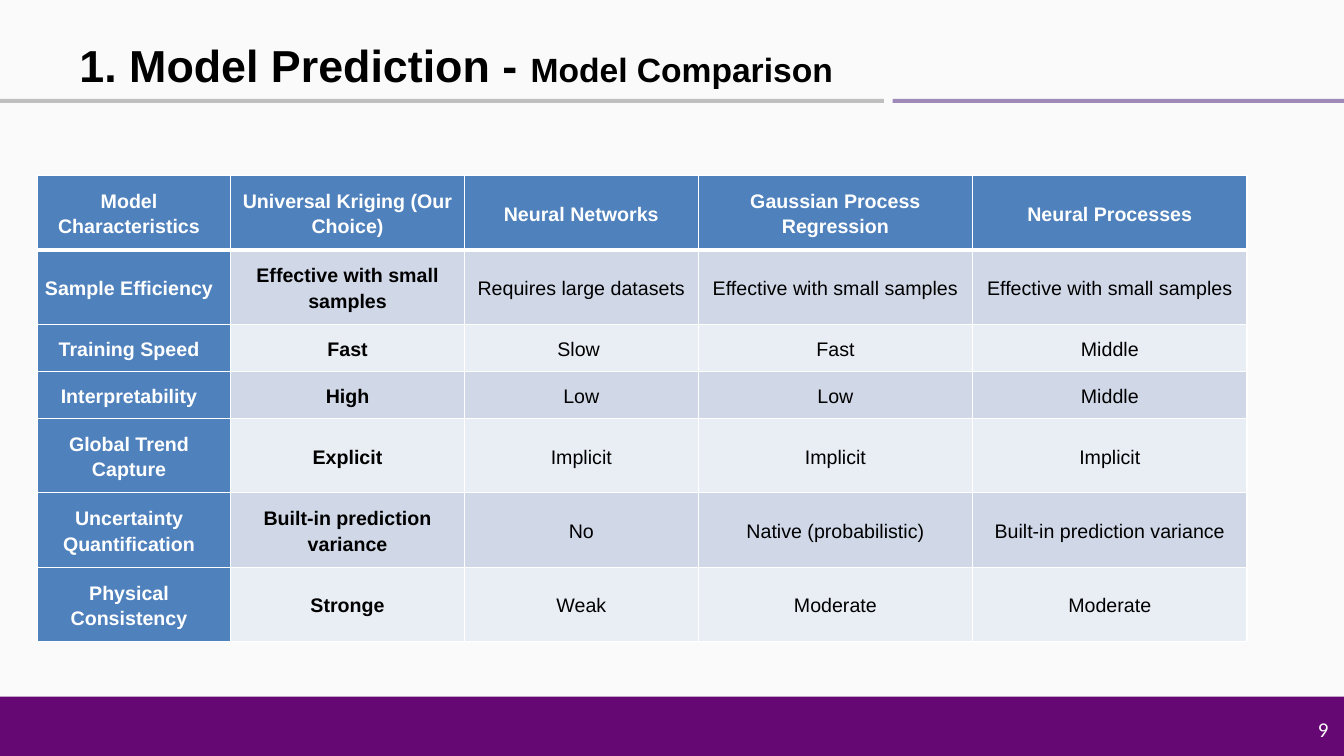
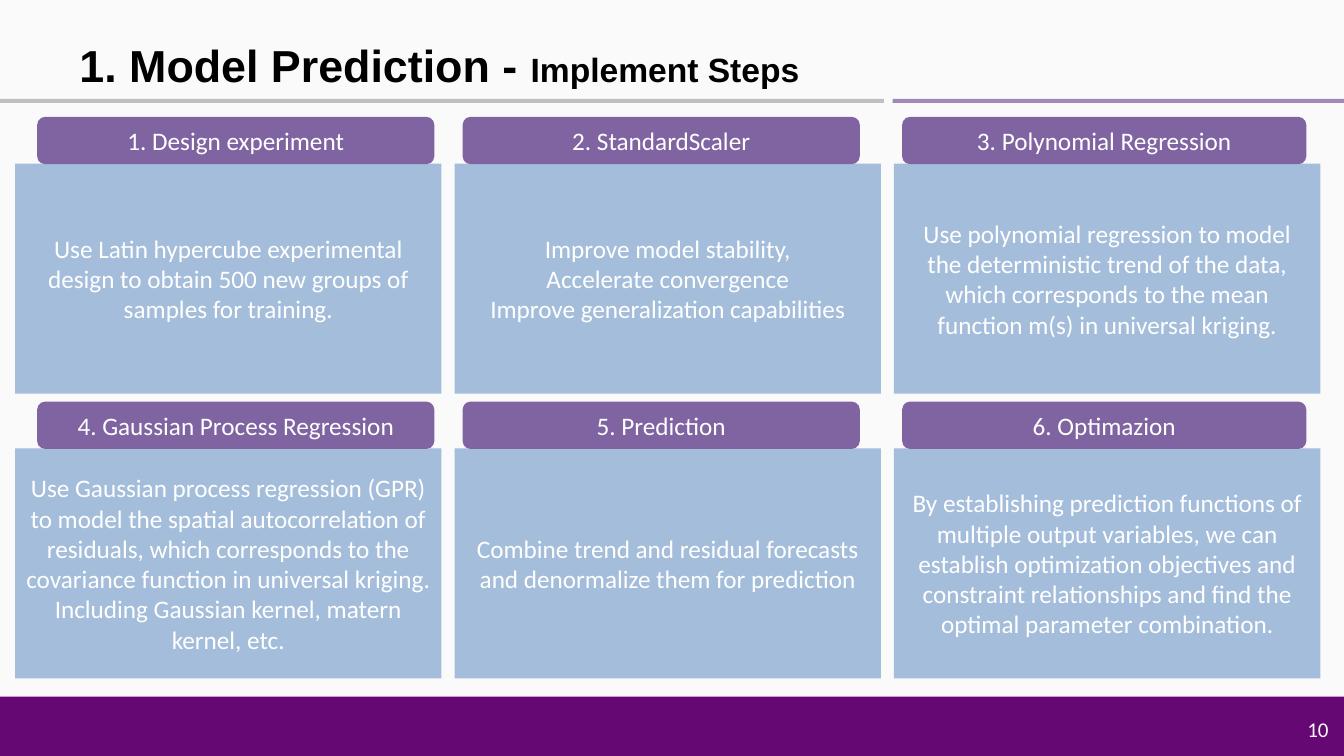
import pptx
import pptx.util
import pptx.dml.color
import pptx.enum.shapes
import pptx.enum.text
import pptx.oxml
import pptx.oxml.ns

Pt = pptx.util.Pt
KIND = pptx.enum.shapes.MSO_SHAPE
ALIGN = pptx.enum.text.PP_ALIGN
ANCHOR = pptx.enum.text.MSO_ANCHOR

HUES = {
    "back": "FAFAFA", "foot": "660874", "grey": "BFBFBF", "plum": "8064A2",
    "blue": "4F81BD", "dark": "D0D8E8", "light": "E9EDF4",
    "white": "FFFFFF", "black": "000000",
}

HEAD = "1. Model Prediction - "

MODELS = [
    ("Model Characteristics", "Universal Kriging (Our Choice)", "Neural Networks",
     "Gaussian Process Regression", "Neural Processes"),
    ("Sample Efficiency", "Effective with small samples", "Requires large datasets",
     "Effective with small samples", "Effective with small samples"),
    ("Training Speed", "Fast", "Slow ", "Fast", "Middle"),
    ("Interpretability", "High", "Low", "Low", "Middle"),
    ("Global Trend Capture", "Explicit", "Implicit", "Implicit", "Implicit"),
    ("Uncertainty Quantification", "Built-in prediction variance", "No",
     "Native (probabilistic)", "Built-in prediction variance"),
    ("Physical Consistency", "Stronge", "Weak", "Moderate", "Moderate"),
]
WIDTHS = [138, 167, 167, 196, 196]
HEIGHTS = [51, 51, 33, 33, 51, 51, 51]

STEPS = [
    ("1. Design experiment",
     "Use Latin hypercube experimental design to obtain 500 new groups of "
     "samples for training."),
    ("2. StandardScaler",
     "Improve model stability,\nAccelerate convergence\n"
     "Improve generalization capabilities"),
    ("3. Polynomial Regression",
     "Use polynomial regression to model the deterministic trend of the data, "
     "which corresponds to the mean function m(s) in universal kriging."),
    ("4. Gaussian Process Regression",
     "Use Gaussian process regression (GPR) to model the spatial "
     "autocorrelation of residuals, which corresponds to the covariance "
     "function in universal kriging. Including Gaussian kernel, matern "
     "kernel, etc."),
    ("5. Prediction",
     "Combine trend and residual forecasts and denormalize them for prediction"),
    ("6. Optimazion",
     "By establishing prediction functions of multiple output variables, we can "
     "establish optimization objectives and constraint relationships and find "
     "the optimal parameter combination."),
]
TABS = [(26.6, 283.7), (330.5, 283.7), (644.4, 288.7)]


def color(name):
    return pptx.dml.color.RGBColor.from_string(HUES[name])


def write(frame, text, size=18, font="Calibri", hue="white", bold=False,
          align=ALIGN.CENTER, space=None, more=False):
    for num, line in enumerate(text.split("\n")):
        para = frame.add_paragraph() if num else frame.paragraphs[0]
        if not more:
            para.alignment = align
            para.line_spacing = space
        run = para.add_run()
        run.text = line
        run.font.size = Pt(size)
        run.font.name = font
        run.font.bold = bold
        run.font.color.rgb = color(hue)


def block(slide, box, hue, kind=KIND.RECTANGLE, alpha=None, text=None):
    shape = slide.shapes.add_shape(kind, *map(Pt, box))
    shape.shadow.inherit = False
    shape.fill.solid()
    shape.fill.fore_color.rgb = color(hue)
    shape.line.fill.background()
    if alpha:
        fill = shape.element.find(".//" + pptx.oxml.ns.qn("a:srgbClr"))
        fill.append(pptx.oxml.parse_xml(
            f'<a:alpha {pptx.oxml.ns.nsdecls("a")} val="{alpha * 1000}"/>'))
    if text:
        shape.text_frame.vertical_anchor = ANCHOR.MIDDLE
        write(shape.text_frame, text)


def label(slide, box, anchor):
    frame = slide.shapes.add_textbox(*map(Pt, box)).text_frame
    frame.word_wrap = True
    frame.vertical_anchor = anchor
    return frame


def page(deck, name, num):
    slide = deck.slides.add_slide(deck.slide_layouts[6])
    block(slide, (0, 497.5, 960, 42.5), "foot")
    block(slide, (0, 70.6, 631.4, 3), "grey")
    block(slide, (637.7, 70.6, 322.3, 3), "plum", alpha=75)
    write(label(slide, (899, 505.5, 57, 28), ANCHOR.BOTTOM), str(num),
          size=15, hue="back", align=ALIGN.RIGHT)
    title = label(slide, (49.7, 21.6, 864.7, 49.7), ANCHOR.MIDDLE)
    style = dict(font="Arial", hue="black", bold=True)
    write(title, HEAD, size=32, align=ALIGN.LEFT, **style)
    write(title, name, size=24, more=True, **style)
    return slide


def edge(cell, sides):
    props = cell._tc.get_or_add_tcPr()
    for num, (side, width) in enumerate(sides.items()):
        props.insert(num, pptx.oxml.parse_xml(
            f'<a:ln{side} {pptx.oxml.ns.nsdecls("a")} w="{Pt(width)}"><a:solidFill>'
            f'<a:srgbClr val="{HUES["white"]}"/></a:solidFill></a:ln{side}>'))


def compare(slide):
    grid = slide.shapes.add_table(
        len(MODELS), len(WIDTHS), Pt(26.8), Pt(125.5),
        Pt(sum(WIDTHS)), Pt(sum(HEIGHTS))).table
    grid.first_row = grid.horz_banding = False
    for col, width in zip(grid.columns, WIDTHS):
        col.width = Pt(width)
    for r, (row, high) in enumerate(zip(MODELS, HEIGHTS)):
        grid.rows[r].height = Pt(high)
        for c, text in enumerate(row):
            cell = grid.cell(r, c)
            head = r == 0 or c == 0
            cell.fill.solid()
            cell.fill.fore_color.rgb = color(
                "blue" if head else "dark" if r % 2 else "light")
            cell.vertical_anchor = ANCHOR.MIDDLE
            cell.margin_left = Pt(7.2 if c else 0)
            cell.margin_right = cell.margin_top = cell.margin_bottom = Pt(7.2)
            write(cell.text_frame, text, size=14, font="Arial", space=1.15,
                  hue="white" if head else "black", bold=head or c == 1)
            edge(cell, {"L": 1, "R": 1, "T": 3 if r == 1 else 1,
                        "B": 3 if r == 0 else 1})


def flow(slide):
    for num, (name, text) in enumerate(STEPS):
        row, col = divmod(num, len(TABS))
        left, width = TABS[col]
        top = 83.5 + row * 203.4
        block(slide, (10.8 + col * 313.9, top + 33.4, 304.6, 164.2), "blue",
              alpha=50, text=text)
        block(slide, (left, top, width, 33.8), "plum",
              kind=KIND.ROUNDED_RECTANGLE, text=name)


def main():
    deck = pptx.Presentation()
    deck.slide_width, deck.slide_height = Pt(960), Pt(540)
    back = deck.slide_master.background.fill
    back.solid()
    back.fore_color.rgb = color("back")
    compare(page(deck, "Model Comparison", 9))
    flow(page(deck, "Implement Steps", 10))
    deck.save("out.pptx")


if __name__ == "__main__":
    main()
